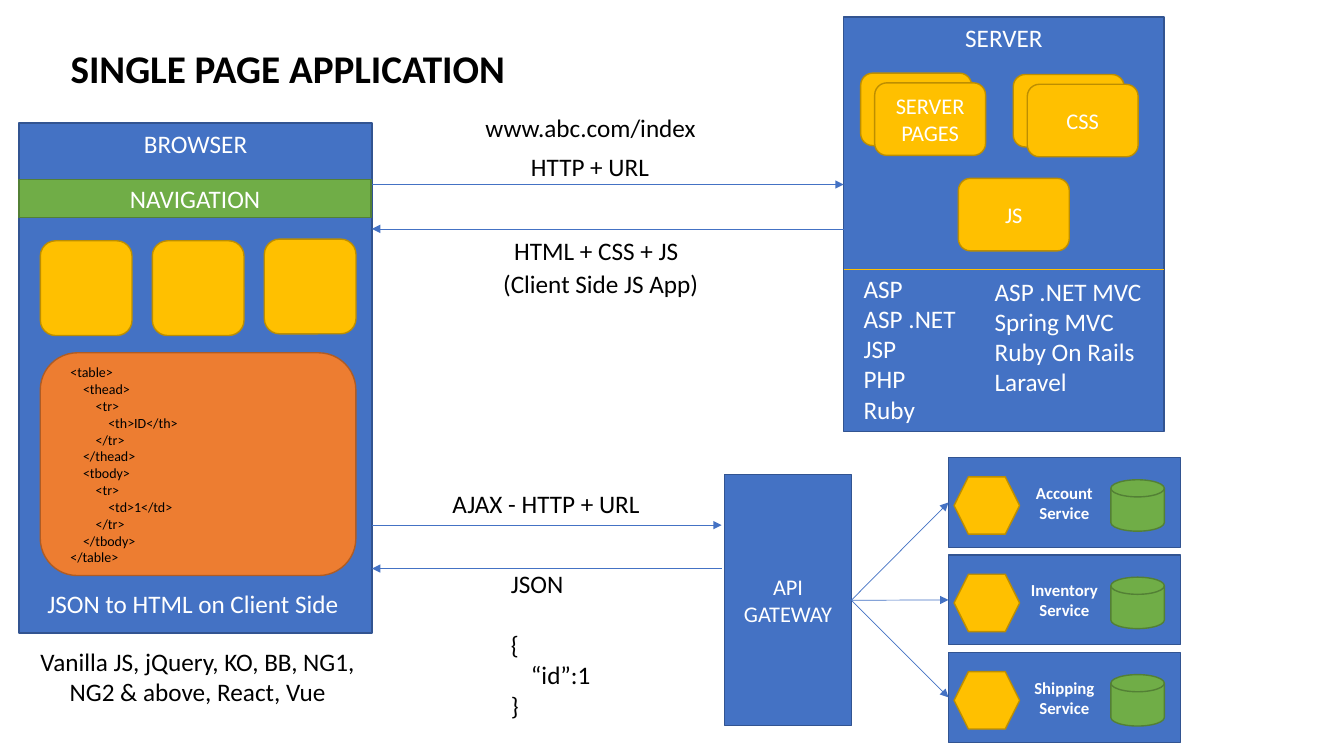
import pptx
import pptx.dml.color
import pptx.enum.shapes
import pptx.enum.text
import pptx.oxml
import pptx.oxml.ns
import pptx.util
from dataclasses import dataclass

Pt = pptx.util.Pt
Colour = pptx.dml.color.RGBColor.from_string
Shape = pptx.enum.shapes.MSO_SHAPE
Align = pptx.enum.text.PP_ALIGN
Anchor = pptx.enum.text.MSO_ANCHOR
AutoSize = pptx.enum.text.MSO_AUTO_SIZE


@dataclass(frozen=True)
class Theme:
    font: str = "Calibri"
    white: str = "FFFFFF"
    black: str = "000000"
    arrow: str = "4472C4"
    gold: str = "FFC000"
    blue: tuple = ("4472C4", "325491")
    yellow: tuple = ("FFC000", "BD8E00")
    green: tuple = ("70AD47", "538035")
    orange: tuple = ("ED7D31", "AF5C24")
    title: int = 28
    body: int = 18
    component: int = 16
    service: int = 12
    code: int = 10
    outline: float = 1
    thin: float = 0.5


THEME = Theme()


@dataclass(frozen=True)
class Box:
    left: float
    top: float
    width: float
    height: float

    @property
    def right(self):
        return self.left + self.width

    @property
    def bottom(self):
        return self.top + self.height

    def inner(self, across, down, width, height):
        return Box(self.left + across, self.top + down, width, height)

    def lengths(self):
        return [Pt(n) for n in (self.left, self.top, self.width, self.height)]


def apply_values(target, values):
    for name, value in values.items():
        setattr(target, name, value)


def write_lines(frame, lines, size, colour, align=Align.LEFT, bold=False):
    for number, line in enumerate(lines):
        text, indent, before = (line, 0, 0) if isinstance(line, str) else line
        para = frame.paragraphs[0] if number == 0 else frame.add_paragraph()
        apply_values(para, {"alignment": align, "space_before": Pt(before)})
        if indent:
            para._p.get_or_add_pPr().set("marL", str(Pt(indent)))
        span = para.add_run()
        span.text = text
        apply_values(span.font, {"name": THEME.font, "size": Pt(size), "bold": bold})
        span.font.color.rgb = Colour(colour)


def add_block(page, kind, box, colours, lines=(), size=THEME.body, anchor=Anchor.MIDDLE, bold=False):
    block = page.shapes.add_shape(kind, *box.lengths())
    block.shadow.inherit = False
    block.fill.solid()
    block.fill.fore_color.rgb = Colour(colours[0])
    block.line.color.rgb = Colour(colours[1])
    block.line.width = Pt(THEME.outline)
    block.text_frame.vertical_anchor = anchor
    write_lines(block.text_frame, lines, size, THEME.white, Align.CENTER, bold)
    return block


def add_label(page, box, lines, colour=THEME.black, size=THEME.body, align=Align.LEFT):
    frame = page.shapes.add_textbox(*box.lengths()).text_frame
    apply_values(frame, {"word_wrap": True, "auto_size": AutoSize.SHAPE_TO_FIT_TEXT})
    write_lines(frame, lines, size, colour, align)


def add_line(page, start, end, colour=THEME.arrow, arrow=True):
    line = page.shapes.add_connector(
        pptx.enum.shapes.MSO_CONNECTOR.STRAIGHT, *[Pt(n) for n in (*start, *end)])
    line.line.color.rgb = Colour(colour)
    line.line.width = Pt(THEME.thin)
    if arrow:
        outline = line.line._get_or_add_ln()
        outline.append(pptx.oxml.parse_xml(
            f'<a:tailEnd {pptx.oxml.ns.nsdecls("a")} type="triangle"/>'))
    line._element.spPr.append(pptx.oxml.parse_xml(
        f'<a:effectLst {pptx.oxml.ns.nsdecls("a")}/>'))
    return line


def draw_title(page, box):
    title = page.shapes.title
    apply_values(title, dict(zip(("left", "top", "width", "height"), box.lengths())))
    frame = title.text_frame
    apply_values(frame, {"word_wrap": True, "auto_size": AutoSize.NONE, "vertical_anchor": Anchor.TOP})
    write_lines(frame, ["SINGLE PAGE APPLICATION"], THEME.title, THEME.black, bold=True)


def draw_server(page, box):
    add_block(page, Shape.RECTANGLE, box, THEME.blue, ["SERVER"], anchor=Anchor.TOP)
    for across, down, copies, name in ((12.2, 40, 2, "SERVER PAGES"),
                                       (121.2, 41, 2, "CSS"),
                                       (82, 115.2, 1, "JS")):
        for layer in range(copies):
            tile = box.inner(across + 10 * layer, down + 7 * layer, 79.2, 51.8)
            lines = [name] if layer == copies - 1 else []
            add_block(page, Shape.ROUNDED_RECTANGLE, tile, THEME.yellow, lines, THEME.component)
    divider = box.top + 180
    add_line(page, (box.left, divider), (box.right, divider), THEME.gold, arrow=False)
    add_label(page, box.inner(7.2, 179.3, 94, 116.6),
              ["ASP", "ASP .NET", "JSP", "PHP", "Ruby"], THEME.white)
    add_label(page, box.inner(100.8, 181.4, 128.2, 94.3),
              ["ASP .NET MVC", "Spring MVC", "Ruby On Rails", "Laravel"], THEME.white)


def draw_browser(page, box):
    add_block(page, Shape.RECTANGLE, box, THEME.blue, ["BROWSER"], anchor=Anchor.TOP)
    add_block(page, Shape.RECTANGLE, box.inner(0, 40.3, 251.3, 27.4), THEME.green, ["NAVIGATION"])
    for column, down in enumerate((84.2, 84.2, 83)):
        add_block(page, Shape.ROUNDED_RECTANGLE,
                  box.inner(15.1 + 80 * column, down, 65.5, 67.7), THEME.yellow)
    add_block(page, Shape.ROUNDED_RECTANGLE, box.inner(15.1, 164.2, 225.4, 159.1), THEME.orange)
    code = ((0, "<table>"), (1, "<thead>"), (2, "<tr>"), (3, "<th>ID</th>"),
            (2, "</tr>"), (1, "</thead>"), (1, "<tbody>"), (2, "<tr>"),
            (3, "<td>1</td>"), (2, "</tr>"), (1, "</tbody>"), (0, "</table>"))
    add_label(page, box.inner(29.5, 168.5, 175.7, 152.6),
              [(text, 9.04 * depth, 0) for depth, text in code], size=THEME.code)
    add_label(page, box.inner(13, 329, 232, 28.8), ["JSON to HTML on Client Side"], THEME.white)
    add_label(page, box.inner(0.5, 370, 254, 51.1),
              ["Vanilla JS, jQuery, KO, BB, NG1,", "NG2 & above, React, Vue"], align=Align.CENTER)


def draw_exchange(page, box, labels):
    add_line(page, (box.left, box.top), (box.right, box.top))
    add_line(page, (box.right, box.bottom), (box.left, box.bottom))
    for across, down, width, height, align, lines in labels:
        add_label(page, box.inner(across, down, width, height), lines, align=align)


def draw_services(page, box):
    gateway = add_block(page, Shape.RECTANGLE, box.inner(0, 12.2, 90.4, 179.3),
                        THEME.blue, ["API GATEWAY"], THEME.component)
    for row, name in enumerate(("Account", "Inventory", "Shipping")):
        card = box.inner(159.8, 69.6 * row, 165.6, 64.1)
        service = add_block(page, Shape.RECTANGLE, card, THEME.blue,
                            [name, "Service"], THEME.service, bold=True)
        add_block(page, Shape.HEXAGON, card.inner(4, 13.7, 46.8, 41), THEME.yellow)
        add_block(page, Shape.FLOWCHART_MAGNETIC_DISK,
                  card.inner(116, 15.8, 38.2, 36.7), THEME.green)
        arrow = add_line(page, (box.left, box.top), (card.left, card.top))
        arrow.begin_connect(gateway, 3)
        arrow.end_connect(service, 1)


def main():
    deck = pptx.Presentation()
    apply_values(deck, {"slide_width": Pt(960), "slide_height": Pt(540)})
    page = deck.slides.add_slide(deck.slide_layouts[5])
    browser = Box(13.7, 87.8, 252, 364.3)
    server = Box(602.6, 12.2, 229, 296)
    services = Box(517.7, 326.9, 325.4, 203.3)
    draw_title(page, Box(43.2, 28.1, 336, 41))
    draw_server(page, server)
    draw_browser(page, browser)
    draw_exchange(page, Box(browser.right, 131.8, server.left - browser.right, 31.7), (
        (74, -54.8, 172, 28.8, Align.LEFT, ["www.abc.com/index"]),
        (106.5, -27.4, 106, 28.8, Align.LEFT, ["HTTP + URL"]),
        (90.6, 33, 139.2, 28.8, Align.CENTER, ["HTML + CSS + JS"]),
        (72, 56.1, 182.9, 28.8, Align.CENTER, ["(Client Side JS App)"])))
    draw_exchange(page, Box(browser.right, 375.1, 249.8, 31), (
        (50.4, -29.5, 156, 28.8, Align.LEFT, ["AJAX - HTTP + URL"]),
        (92.1, 27.4, 76, 116.6, Align.LEFT,
         ["JSON", ("{", 0, 22), ("“id”:1", 14.4, 0), "}"])))
    draw_services(page, services)
    deck.save("out.pptx")


if __name__ == "__main__":
    main()
